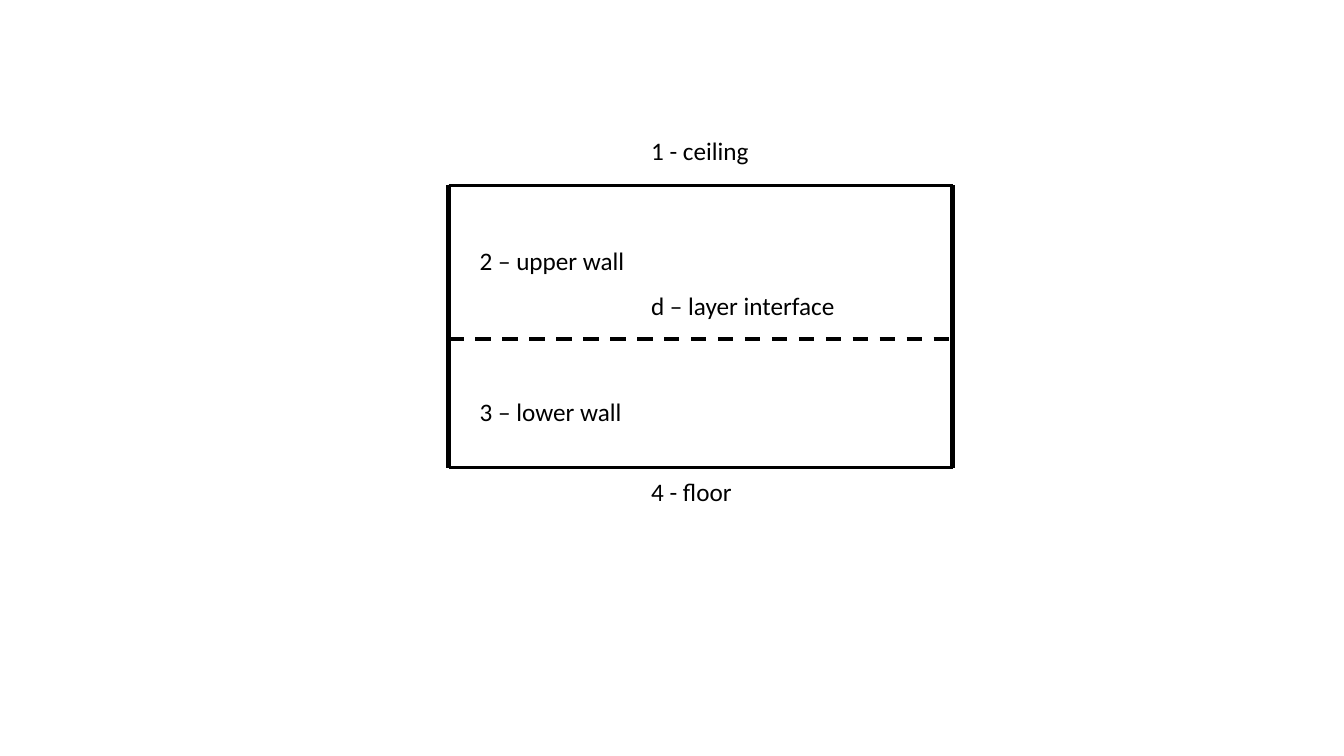
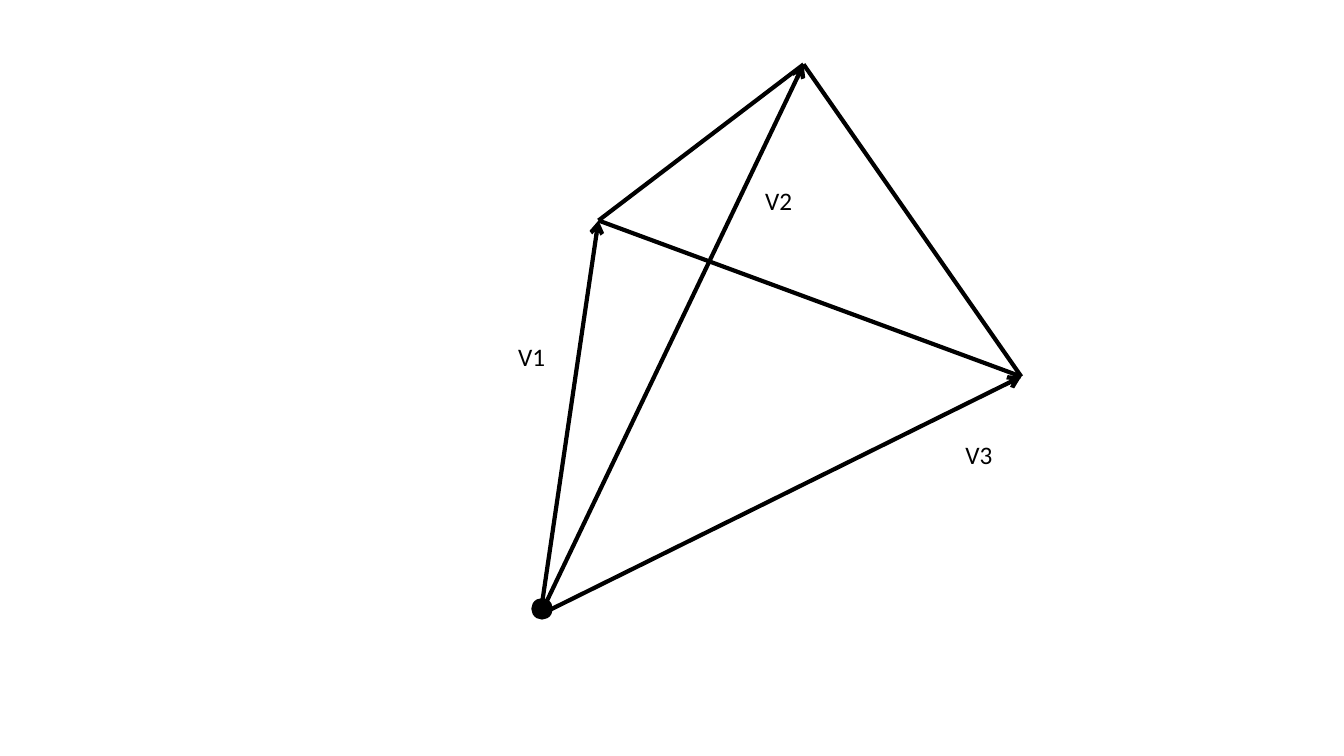
from lxml.etree import SubElement
from pptx import Presentation
from pptx.dml.color import RGBColor
from pptx.enum.dml import MSO_LINE
from pptx.enum.shapes import MSO_CONNECTOR, MSO_SHAPE
from pptx.enum.text import MSO_AUTO_SIZE
from pptx.oxml.ns import qn
from pptx.util import Pt

BLACK = RGBColor(0, 0, 0)
STRAIGHT = MSO_CONNECTOR.STRAIGHT
OVAL = MSO_SHAPE.OVAL
DASH = MSO_LINE.DASH
GROW = MSO_AUTO_SIZE.SHAPE_TO_FIT_TEXT
BLANK_LAYOUT = 6


def write(frame, text, size=18, font="Calibri", color=BLACK):
    """Put formatted text into the first paragraph of a frame."""
    run = frame.paragraphs[0].add_run()
    run.text = text
    run.font.size = Pt(size)
    run.font.name = font
    run.font.color.rgb = color


class Sketch:
    """Line drawing style together with the slide being drawn."""

    label_height = 29

    def __init__(self, deck):
        """Start without a slide."""
        self.deck = deck
        self.slide = None

    def new_slide(self):
        """Make a blank slide the current one."""
        layout = self.deck.slide_layouts[BLANK_LAYOUT]
        self.slide = self.deck.slides.add_slide(layout)

    def line(self, start, end, width=3, dash=None, arrow=False):
        """Draw a straight line between two points."""
        ends = [Pt(value) for value in (*start, *end)]
        stroke = self.slide.shapes.add_connector(STRAIGHT, *ends)
        stroke.line.color.rgb = BLACK
        stroke.line.width = Pt(width)
        if dash:
            stroke.line.dash_style = dash
        properties = stroke._element.spPr
        if arrow:
            SubElement(properties.find(qn("a:ln")), qn("a:tailEnd"), type="arrow")
        SubElement(properties, qn("a:effectLst"))

    def dot(self, left, top, diameter):
        """Draw a filled circle."""
        circle = self.slide.shapes.add_shape(
            OVAL, Pt(left), Pt(top), Pt(diameter), Pt(diameter))
        circle.shadow.inherit = False
        circle.fill.solid()
        circle.fill.fore_color.rgb = BLACK
        circle.line.color.rgb = BLACK
        circle.line.width = Pt(1)

    def label(self, text, left, top, width):
        """Write a one-line label."""
        box = self.slide.shapes.add_textbox(
            Pt(left), Pt(top), Pt(width), Pt(self.label_height))
        box.text_frame.word_wrap = False
        box.text_frame.auto_size = GROW
        write(box.text_frame, text)


def draw_room(sketch):
    """Draw the room with its two layers."""
    sketch.new_slide()
    left, right = 320.4, 680.4
    ceiling, interface, floor = 132.5, 242, 334
    for level, dash in ((ceiling, None), (interface, DASH), (floor, None)):
        sketch.line((left, level), (right, level), width=2.75, dash=dash)
    for wall in (left, right):
        sketch.line((wall, ceiling), (wall, floor))

    middle_column, wall_column = 458, 335.5
    for text, column, top, width in (
        ("1 - ceiling", middle_column, 93, 85),
        ("4 - floor", middle_column, 337, 73),
        ("2 – upper wall", wall_column, 172, 119.5),
        ("3 – lower wall", wall_column, 279.5, 117.5),
        ("d – layer interface", middle_column, 204, 147),
    ):
        sketch.label(text, column, top, width)


def draw_vectors(sketch):
    """Draw the triangle and the vectors to its corners."""
    sketch.new_slide()
    origin = (386, 439)
    corners = [(427.5, 157.5), (574, 46), (729.5, 269)]
    for index, corner in enumerate(corners):
        sketch.line(corners[index - 1], corner)
    for corner in corners:
        sketch.line(origin, corner, arrow=True)
    sketch.dot(380, 427.7, 14.4)

    label_places = [(363, 240.5), (539.5, 129), (682.5, 310.5)]
    for number, (left, top) in enumerate(label_places, start=1):
        sketch.label(f"V{number}", left, top, 34)


def main():
    """Build and save the two slides."""
    deck = Presentation()
    deck.slide_width, deck.slide_height = Pt(960), Pt(540)
    sketch = Sketch(deck)
    draw_room(sketch)
    draw_vectors(sketch)
    deck.save("out.pptx")


if __name__ == "__main__":
    main()
